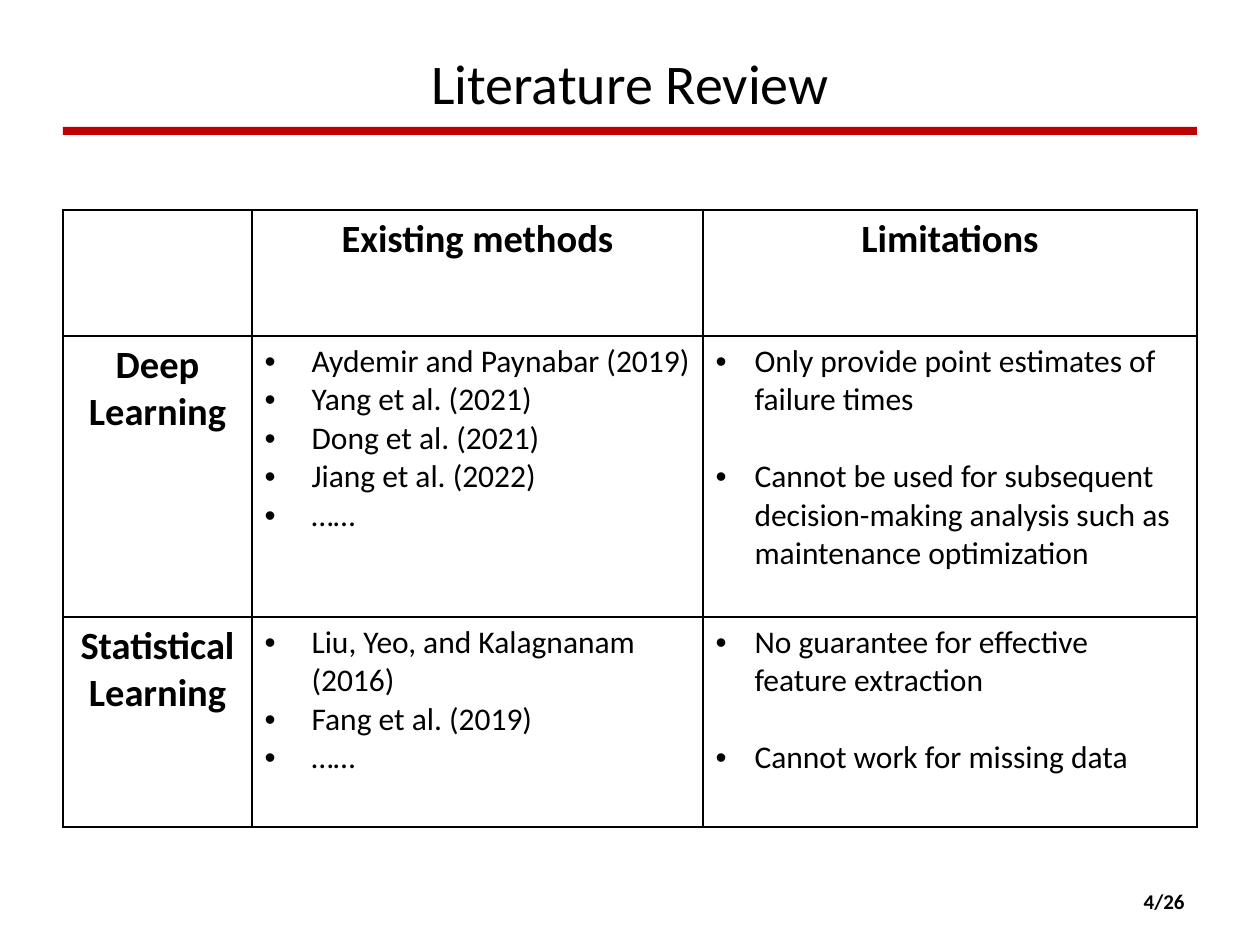
from dataclasses import dataclass

from lxml import etree
from pptx import Presentation
from pptx.dml.color import RGBColor
from pptx.enum.shapes import MSO_SHAPE
from pptx.enum.text import MSO_ANCHOR, MSO_AUTO_SIZE, PP_ALIGN
from pptx.oxml.ns import qn
from pptx.util import Emu, Pt

RECTANGLE = MSO_SHAPE.RECTANGLE
MIDDLE = MSO_ANCHOR.MIDDLE
NO_AUTOFIT = MSO_AUTO_SIZE.NONE
LEFT, CENTER, RIGHT = PP_ALIGN.LEFT, PP_ALIGN.CENTER, PP_ALIGN.RIGHT

PX_PER_INCH = 126
SLIDE_WIDTH, SLIDE_HEIGHT = 1260, 945
MARGIN = 63
CONTENT_WIDTH = SLIDE_WIDTH - 2 * MARGIN
TITLE_ONLY_LAYOUT = 5


@dataclass(frozen=True)
class Theme:
    font: str = "Calibri"
    text: RGBColor = RGBColor(0, 0, 0)
    accent: RGBColor = RGBColor(0xC0, 0, 0)
    border: str = "000000"
    border_pt: int = 1
    title_pt: int = 32
    heading_pt: int = 22
    body_pt: int = 18
    page_pt: int = 12
    limitation_gap_pt: int = 22


@dataclass(frozen=True)
class Approach:
    name: str
    methods: tuple[str, ...]
    limitations: tuple[str, ...]
    height: int


THEME = Theme()
HEADINGS = ("", "Existing methods", "Limitations")
COLUMN_WIDTHS = (189, 451, 494)
HEADING_HEIGHT = 126
METHOD_INDENT, LIMITATION_INDENT = 47, 39
APPROACHES = (
    Approach(
        "Deep Learning",
        ("Aydemir and Paynabar (2019)", "Yang et al. (2021)",
         "Dong et al. (2021)", "Jiang et al. (2022)", "……"),
        ("Only provide point estimates of failure times",
         "Cannot be used for subsequent decision-making analysis "
         "such as maintenance optimization"),
        281,
    ),
    Approach(
        "Statistical Learning",
        ("Liu, Yeo, and Kalagnanam (2016)", "Fang et al. (2019)", "……"),
        ("No guarantee for effective feature extraction",
         "Cannot work for missing data"),
        210,
    ),
)


def px(length: int) -> Emu:
    return Emu(round(length * 914400 / PX_PER_INCH))


def place(shape, left: int, top: int, width: int, height: int) -> None:
    shape.left, shape.top = px(left), px(top)
    shape.width, shape.height = px(width), px(height)


def write(paragraph, text: str, size: int, align=LEFT, bold: bool = False) -> None:
    paragraph.alignment = align
    run = paragraph.add_run()
    run.text = text
    run.font.name = THEME.font
    run.font.size = Pt(size)
    run.font.bold = bold
    run.font.color.rgb = THEME.text


def add_bullet(paragraph, indent: int) -> None:
    properties = paragraph._p.get_or_add_pPr()
    properties.set("marL", str(px(indent)))
    properties.set("indent", str(-px(indent)))
    etree.SubElement(properties, qn("a:buFont"), typeface="Arial")
    etree.SubElement(properties, qn("a:buChar"), char="•")


def write_bullets(cell, items: tuple[str, ...], indent: int, gap_pt: int = 0) -> None:
    frame = cell.text_frame
    for index, item in enumerate(items):
        paragraph = frame.add_paragraph() if index else frame.paragraphs[0]
        add_bullet(paragraph, indent)
        if index and gap_pt:
            paragraph.space_before = Pt(gap_pt)
        write(paragraph, item, THEME.body_pt)


def write_heading(cell, text: str) -> None:
    write(cell.text_frame.paragraphs[0], text, THEME.heading_pt, CENTER, bold=True)


def outline(cell) -> None:
    """Give the cell four solid borders and no fill."""
    properties = cell._tc.get_or_add_tcPr()
    for side in ("lnL", "lnR", "lnT", "lnB"):
        line = etree.SubElement(properties, qn(f"a:{side}"), w=str(Pt(THEME.border_pt)))
        fill = etree.SubElement(line, qn("a:solidFill"))
        etree.SubElement(fill, qn("a:srgbClr"), val=THEME.border)
    cell.fill.background()


def add_title(slide, text: str) -> None:
    rule = slide.shapes.add_shape(RECTANGLE, 0, 0, 0, 0)
    place(rule, MARGIN, 127, CONTENT_WIDTH, 8)
    rule.shadow.inherit = False
    rule.fill.solid()
    rule.fill.fore_color.rgb = THEME.accent
    rule.line.fill.background()

    title = slide.shapes.title
    place(title, MARGIN, 38, CONTENT_WIDTH, 88)
    title.text_frame.auto_size = NO_AUTOFIT
    title.text_frame.vertical_anchor = MIDDLE
    write(title.text_frame.paragraphs[0], text, THEME.title_pt, CENTER)


def add_review_table(slide) -> None:
    heights = (HEADING_HEIGHT, *(approach.height for approach in APPROACHES))
    table = slide.shapes.add_table(
        len(heights), len(HEADINGS),
        px(MARGIN), px(210), px(CONTENT_WIDTH), px(sum(heights)),
    ).table
    table.first_row = table.horz_banding = False
    for column, width in zip(table.columns, COLUMN_WIDTHS):
        column.width = px(width)
    for row, height in zip(table.rows, heights):
        row.height = px(height)
    for cell in table.iter_cells():
        outline(cell)

    for column, heading in enumerate(HEADINGS):
        if heading:
            write_heading(table.cell(0, column), heading)
    for row, approach in enumerate(APPROACHES, start=1):
        write_heading(table.cell(row, 0), approach.name)
        write_bullets(table.cell(row, 1), approach.methods, METHOD_INDENT)
        write_bullets(table.cell(row, 2), approach.limitations,
                      LIMITATION_INDENT, THEME.limitation_gap_pt)


def add_page_number(slide, text: str) -> None:
    page = slide.shapes.add_textbox(0, 0, 0, 0)
    place(page, 903, 876, 294, 50)
    page.text_frame.word_wrap = True
    page.text_frame.vertical_anchor = MIDDLE
    write(page.text_frame.paragraphs[0], text, THEME.page_pt, RIGHT, bold=True)


def main() -> None:
    deck = Presentation()
    deck.slide_width, deck.slide_height = px(SLIDE_WIDTH), px(SLIDE_HEIGHT)
    slide = deck.slides.add_slide(deck.slide_layouts[TITLE_ONLY_LAYOUT])
    add_title(slide, "Literature Review")
    add_review_table(slide)
    add_page_number(slide, "4/26")
    deck.save("out.pptx")


if __name__ == "__main__":
    main()
